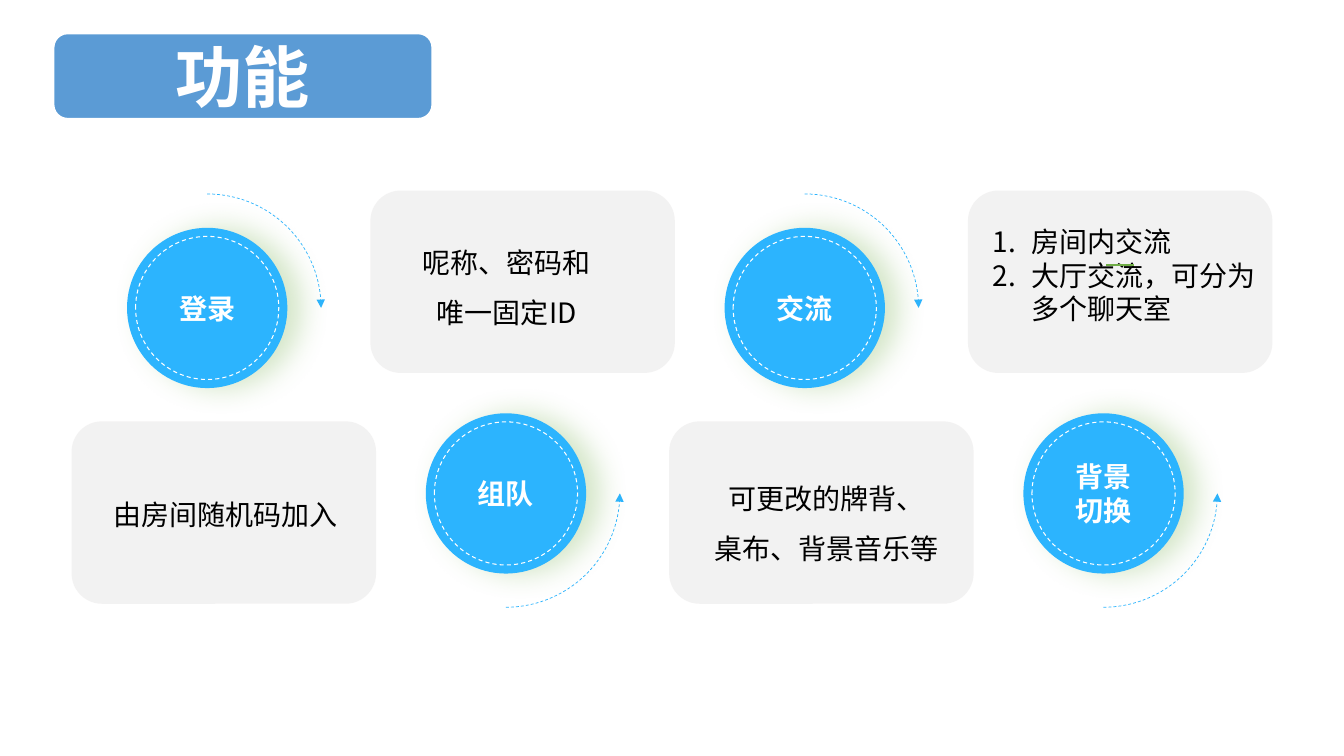
import math

import pptx
from lxml import etree
from pptx.dml.color import RGBColor
from pptx.enum.dml import MSO_LINE
from pptx.enum.shapes import MSO_CONNECTOR, MSO_SHAPE
from pptx.enum.text import MSO_ANCHOR, MSO_AUTO_SIZE, PP_ALIGN
from pptx.oxml.ns import qn
from pptx.util import Inches, Pt

TITLE = "功能"
# circle label, card text, text box (left, top, width, height), numbered
FEATURES = [
    ("登录", "由房间随机码加入", (0.94, 4.72, 2.59, 0.55), False),
    ("组队", "呢称、密码和\n唯一固定ID", (3.73, 2.22, 2.59, 1.06), False),
    ("交流", "可更改的牌背、\n桌布、背景⾳乐等", (6.9, 4.56, 2.59, 1.06), False),
    ("背景\n切换", "房间内交流\n大厅交流，可分为多个聊天室", (9.25, 2.18, 3.52, 1.11), True),
]

FONT = "Noto Sans CJK SC"
BLUE = RGBColor(0x2C, 0xB4, 0xFE)
TITLE_BLUE = RGBColor(0x5B, 0x9B, 0xD5)
GREEN = RGBColor(0x70, 0xAD, 0x47)
GRAY = RGBColor(0xE7, 0xE6, 0xE6)
WHITE = RGBColor(0xFF, 0xFF, 0xFF)
BLACK = RGBColor(0, 0, 0)

FIRST_LEFT = 0.71
COLUMN_STEP = 8.89 / 3
CARD_WIDTH, CARD_HEIGHT = 3.02, 1.81
CIRCLE_OFFSET, CIRCLE_SIZE = 0.55, 1.59
RING_SIZE = 1.42
ARC_RADIUS = 1.13
ARC_STEPS = 30
UPPER_CIRCLE_TOP, LOWER_CIRCLE_TOP = 2.26, 4.1
UPPER_CARD_TOP, LOWER_CARD_TOP = 1.89, 4.18


def add_child(parent, tag, **attributes):
    return etree.SubElement(parent, qn(tag), attributes)


def style_line(line, color, width, dashed=False):
    line.color.rgb = color
    line.width = Pt(width)
    if dashed:
        line.dash_style = MSO_LINE.DASH


def add_plain_shape(slide, kind, box, fill=None):
    shape = slide.shapes.add_shape(kind, *map(Inches, box))
    shape.shadow.inherit = False
    shape.line.fill.background()
    if fill is None:
        shape.fill.background()
    else:
        shape.fill.solid()
        shape.fill.fore_color.rgb = fill
    return shape


def write(shape, text, size, color, bold=False, spacing=None, align=PP_ALIGN.CENTER):
    frame = shape.text_frame
    frame.word_wrap = True
    frame.text = text
    for paragraph in frame.paragraphs:
        paragraph.alignment = align
        if spacing:
            paragraph.line_spacing = spacing
        for run in paragraph.runs:
            run.font.size = Pt(size)
            run.font.bold = bold
            run.font.color.rgb = color
            run.font.name = FONT
            add_child(run.font._element, "a:ea", typeface=FONT)


def add_glow(shape):
    """Soft green shadow falling to the right."""
    effects = shape._element.spPr.find(qn("a:effectLst"))
    shadow = add_child(effects, "a:outerShdw", blurRad=str(Pt(20)),
                       dist=str(Pt(10)), dir="0", algn="l", rotWithShape="0")
    color = add_child(shadow, "a:srgbClr", val=str(GREEN))
    add_child(color, "a:alpha", val="30000")


def add_arc_arrow(slide, center_x, center_y, side):
    """Quarter circle from above (side -1) or below (side 1) to the right."""
    points = []
    for step in range(ARC_STEPS + 1):
        angle = math.pi / 2 * step / ARC_STEPS
        points.append((Inches(center_x + ARC_RADIUS * math.sin(angle)),
                       Inches(center_y + side * ARC_RADIUS * math.cos(angle))))
    builder = slide.shapes.build_freeform(*points[0])
    builder.add_line_segments(points[1:], close=False)
    arc = builder.convert_to_shape()
    arc.shadow.inherit = False
    arc.fill.background()
    style_line(arc.line, BLUE, 0.5, dashed=True)
    add_child(arc._element.spPr.find(qn("a:ln")), "a:tailEnd", type="triangle")


def add_circle(slide, left, top, label, side):
    center_x, center_y = left + CIRCLE_SIZE / 2, top + CIRCLE_SIZE / 2
    add_arc_arrow(slide, center_x, center_y, side)
    circle = add_plain_shape(slide, MSO_SHAPE.OVAL,
                             (left, top, CIRCLE_SIZE, CIRCLE_SIZE), BLUE)
    add_glow(circle)
    circle.text_frame.vertical_anchor = MSO_ANCHOR.MIDDLE
    write(circle, label, 20, WHITE, bold=True)
    ring = add_plain_shape(slide, MSO_SHAPE.OVAL,
                           (center_x - RING_SIZE / 2, center_y - RING_SIZE / 2,
                            RING_SIZE, RING_SIZE))
    style_line(ring.line, WHITE, 0.75, dashed=True)


def add_card(slide, left, top, text, text_box, numbered):
    card = add_plain_shape(slide, MSO_SHAPE.ROUNDED_RECTANGLE,
                           (left, top, CARD_WIDTH, CARD_HEIGHT), GRAY)
    fill_color = card._element.spPr.find(qn("a:solidFill"))[0]
    add_child(fill_color, "a:alpha", val="50000")
    box = slide.shapes.add_textbox(*map(Inches, text_box))
    box.text_frame.auto_size = MSO_AUTO_SIZE.SHAPE_TO_FIT_TEXT
    if not numbered:
        write(box, text, 20, BLACK, spacing=1.5)
        return
    write(box, text, 20, BLACK, align=PP_ALIGN.LEFT)
    for paragraph in box.text_frame.paragraphs:
        paragraph.level = 1
        properties = paragraph._p.get_or_add_pPr()
        properties.set("marL", str(Inches(0.88)))
        properties.set("indent", str(Inches(-0.38)))
        add_child(properties, "a:buFont", typeface=FONT)
        add_child(properties, "a:buAutoNum", type="arabicPeriod")


def main():
    presentation = pptx.Presentation()
    presentation.slide_width = Inches(13.33)
    presentation.slide_height = Inches(7.5)
    slide = presentation.slides.add_slide(presentation.slide_layouts[6])

    for index, (label, text, text_box, numbered) in enumerate(FEATURES):
        left = FIRST_LEFT + index * COLUMN_STEP
        if index % 2 == 0:
            circle_top, card_top, side = UPPER_CIRCLE_TOP, LOWER_CARD_TOP, -1
        else:
            circle_top, card_top, side = LOWER_CIRCLE_TOP, UPPER_CARD_TOP, 1
        add_circle(slide, left + CIRCLE_OFFSET, circle_top, label, side)
        add_card(slide, left, card_top, text, text_box, numbered)

    accent = slide.shapes.add_connector(
        MSO_CONNECTOR.STRAIGHT, *map(Inches, (10.97, 2.63, 11.25, 2.63)))
    style_line(accent.line, GREEN, 1)
    add_child(accent._element.spPr, "a:effectLst")

    title = add_plain_shape(slide, MSO_SHAPE.ROUNDED_RECTANGLE,
                            (0.53, 0.33, 3.76, 0.85), TITLE_BLUE)
    style_line(title.line, WHITE, 1.5)
    title.text_frame.vertical_anchor = MSO_ANCHOR.MIDDLE
    write(title, TITLE, 48, WHITE, bold=True)

    presentation.save("out.pptx")


if __name__ == "__main__":
    main()
